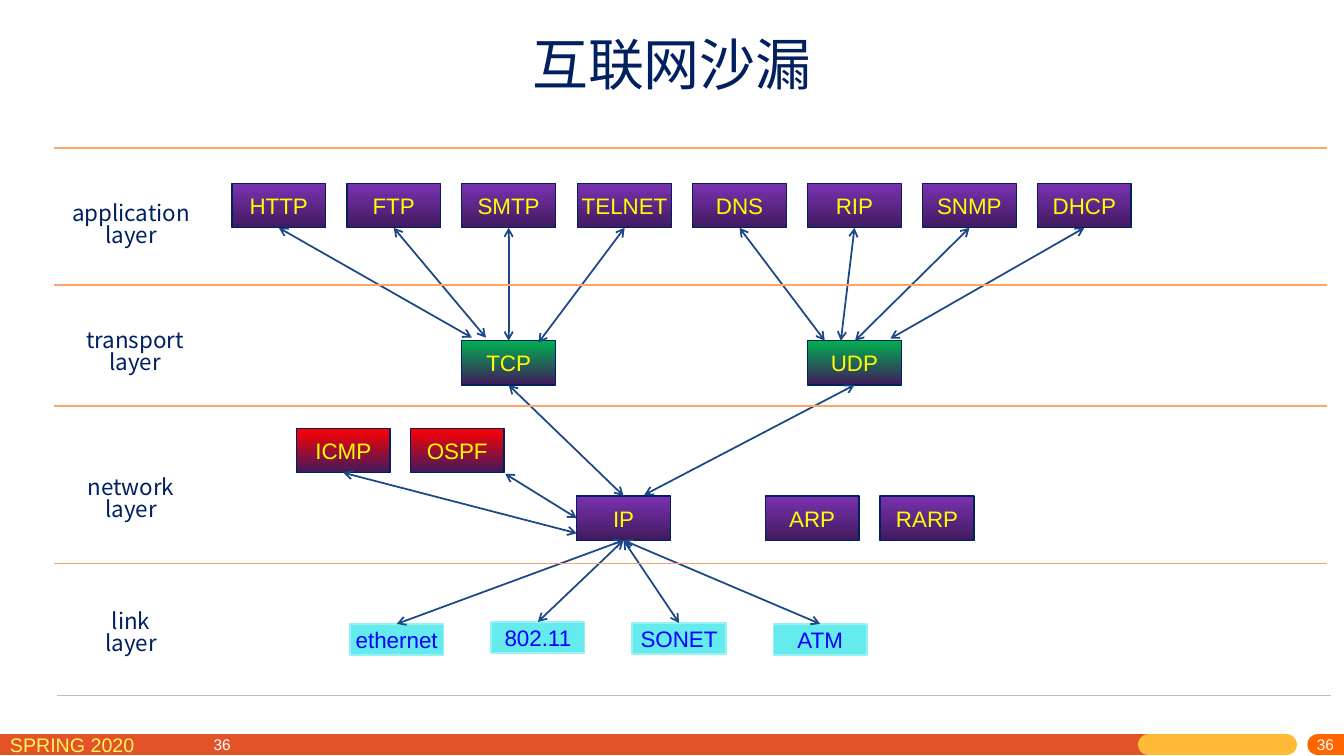
from lxml.etree import SubElement
from pptx import Presentation
from pptx.dml.color import RGBColor as RGB
from pptx.enum.shapes import MSO_CONNECTOR as Conn, MSO_SHAPE as Kind
from pptx.enum.text import MSO_ANCHOR as Anchor, MSO_AUTO_SIZE as Fit, PP_ALIGN as Align
from pptx.oxml.ns import qn
from pptx.util import Pt

NAVY = RGB(0x00, 0x20, 0x60)
STEEL = RGB(0x1C, 0x48, 0x85)
PEACH = RGB(0xFF, 0xA3, 0x66)
GREY = RGB(0xBF, 0xBF, 0xBF)
VIOLET = RGB(0x7B, 0x32, 0xB2)
PLUM = RGB(0x40, 0x1A, 0x5D)
GREEN = RGB(0x00, 0xB0, 0x50)
RED = RGB(0xFF, 0x00, 0x00)
YELLOW = RGB(0xFF, 0xFF, 0x00)
BLUE = RGB(0x00, 0x00, 0xFF)
AQUA = RGB(0x65, 0xEA, 0xEE)
PALE = RGB(0x98, 0xF1, 0xF4)
BRICK = RGB(0xE4, 0x53, 0x27)
AMBER = RGB(0xFF, 0xBA, 0x37)
ORANGE = RGB(0xFF, 0x66, 0x00)
LEMON = RGB(0xFF, 0xF6, 0x5C)
WHITE = RGB(0xFF, 0xFF, 0xFF)

SCALE = 9144  # EMU per px, 100 px to the inch
SANS, HAN = "Arial", "Noto Sans CJK SC"
TOP, LEFT, BOTTOM = 0, 1, 2
BOX_W, BOX_H, LINK_H = 93, 44, 31


def px(*vals):
    return [v * SCALE for v in vals]


def apply(obj, **vals):
    """Set each named value as an attribute of obj."""
    for name, val in vals.items():
        setattr(obj, name, val)


class Board:
    """Holds the slide, its boxes by name, and the shared style."""

    def __init__(self, deck):
        self.slide = deck.slides.add_slide(deck.slide_layouts[5])
        self.shapes = self.slide.shapes
        self.boxes = {}

    def letter(self, shape, text, size, font, color, align, space=1.0, **frame):
        """Put styled text into a shape."""
        apply(shape.text_frame, word_wrap=True, auto_size=Fit.NONE, **frame)
        shape.text_frame.text = text
        for para in shape.text_frame.paragraphs:
            apply(para, alignment=align, line_spacing=space)
            for run in para.runs:
                apply(run.font, size=Pt(size), name=font)
                run.font.color.rgb = color
                SubElement(run.font._element, qn("a:ea"), typeface=font)

    def title(self, text, *spot):
        head = self.shapes.title
        apply(head, **dict(zip(("left", "top", "width", "height"), px(*spot))))
        self.letter(head, text, 40, HAN, NAVY, Align.CENTER, 0.9,
                    vertical_anchor=Anchor.TOP)

    def label(self, text, spot, size=16, font=HAN, color=NAVY,
              align=Align.CENTER, space=0.83, **frame):
        self.letter(self.shapes.add_textbox(*px(*spot)), text, size, font,
                    color, align, space, **frame)

    def box(self, name, x, y, high=BOX_H, fill=VIOLET, edge=NAVY, ink=YELLOW):
        """Named protocol box; the link ones are flat, the rest fade to plum."""
        shape = self.shapes.add_shape(Kind.RECTANGLE, *px(x, y, BOX_W, high))
        shape.shadow.inherit = False
        if fill == AQUA:
            shape.fill.solid()
            shape.fill.fore_color.rgb = fill
        else:
            shape.fill.gradient()
            shape.fill.gradient_angle = 270
            for stop, color, at in zip(shape.fill.gradient_stops, (fill, PLUM), (0, 1)):
                stop.color.rgb = color
                stop.position = at
        shape.line.color.rgb = edge
        shape.line.width = Pt(1)
        self.letter(shape, name, 16, SANS, ink, Align.CENTER,
                    vertical_anchor=Anchor.MIDDLE, margin_left=0, margin_right=0,
                    margin_top=0, margin_bottom=0)
        self.boxes[name] = shape

    def line(self, start, end, color=PEACH, width=1.25, cap="flat", arrows=False):
        link = self.shapes.add_connector(Conn.STRAIGHT, *px(*start, *end))
        link.line.color.rgb = color
        link.line.width = Pt(width)
        props = link._element.spPr
        edge = props.find(qn("a:ln"))
        edge.set("cap", cap)
        if arrows:
            for tip in ("a:headEnd", "a:tailEnd"):
                SubElement(edge, qn(tip), type="arrow")
        SubElement(props, qn("a:effectLst"))
        return link

    def arrow(self, start, end):
        """Two-headed arrow; an end is a point, or a box name and its side."""
        ends = (start, end)
        spots = [(0, 0) if isinstance(e[0], str) else e for e in ends]
        link = self.line(*spots, color=STEEL, arrows=True)
        for join, (name, side) in zip((link.begin_connect, link.end_connect), ends):
            if isinstance(name, str):
                join(self.boxes[name], side)


def main():
    deck = Presentation()
    deck.slide_width, deck.slide_height = px(1333, 750)
    board = Board(deck)

    # Footer
    for x, end, color, cap in ((0, 1139, BRICK, "flat"), (1139, 1276, AMBER, "rnd"),
                               (1307, 1333, ORANGE, "rnd")):
        board.line((x, 739), (end, 739), color, 15, cap)
    board.label("SPRING 2020", (0, 722, 229, 31), 14, SANS, LEMON, Align.LEFT, 1.0)
    for x, align in ((1075, Align.RIGHT), (202, Align.LEFT)):
        board.label("36", (x, 732, 258, 18), 11, SANS, WHITE, align, 1.0,
                    vertical_anchor=Anchor.MIDDLE, margin_top=0)

    board.title("互联网沙漏", 135, 32, 1063, 77)

    # Protocols
    apps = ("HTTP", "FTP", "SMTP", "TELNET", "DNS", "RIP", "SNMP", "DHCP")
    for i, name in enumerate(apps):
        board.box(name, round(230 + 114.2 * i), 182)
    for name, x, y, fill in (("TCP", 458, 338, GREEN), ("UDP", 801, 338, GREEN),
                             ("ICMP", 294, 425, RED), ("OSPF", 407, 425, RED),
                             ("IP", 572, 492, VIOLET), ("ARP", 759, 492, VIOLET),
                             ("RARP", 873, 492, VIOLET)):
        board.box(name, x, y, fill=fill)
    links = (("ethernet", 619), ("802.11", 617), ("SONET", 618), ("ATM", 619))
    for i, (name, y) in enumerate(links):
        board.box(name, 347 + 140 * i, y, LINK_H, AQUA, PALE, BLUE)

    # Arrows
    ends = ((468, 335), (482, 335), ("TCP", TOP), (534, 340),
            (818, 338), (834, 338), (848, 338), (883, 336))
    for name, end in zip(apps, ends):
        board.arrow((name, BOTTOM), end)
    board.arrow(("TCP", BOTTOM), ("IP", TOP))
    board.arrow(("UDP", BOTTOM), (639, 491))
    board.arrow((501, 470), ("IP", LEFT))
    board.arrow(("ICMP", BOTTOM), (572, 529))
    for name, _ in links:
        board.arrow((name, TOP), ("IP", BOTTOM))

    # Layers
    for y in (147, 283, 403, 559):
        board.line((54, y), (1316, y))
    board.line((57, 690), (1320, 690), GREY, 0.75)
    for text, x, y, wide in (("application layer", 52, 197, 156),
                             ("transport\nlayer", 45, 323, 178),
                             ("network\nlayer", 52, 469, 156),
                             ("link\nlayer", 52, 602, 156)):
        board.label(text, (x, y, wide, 64))

    deck.save("out.pptx")


if __name__ == "__main__":
    main()
